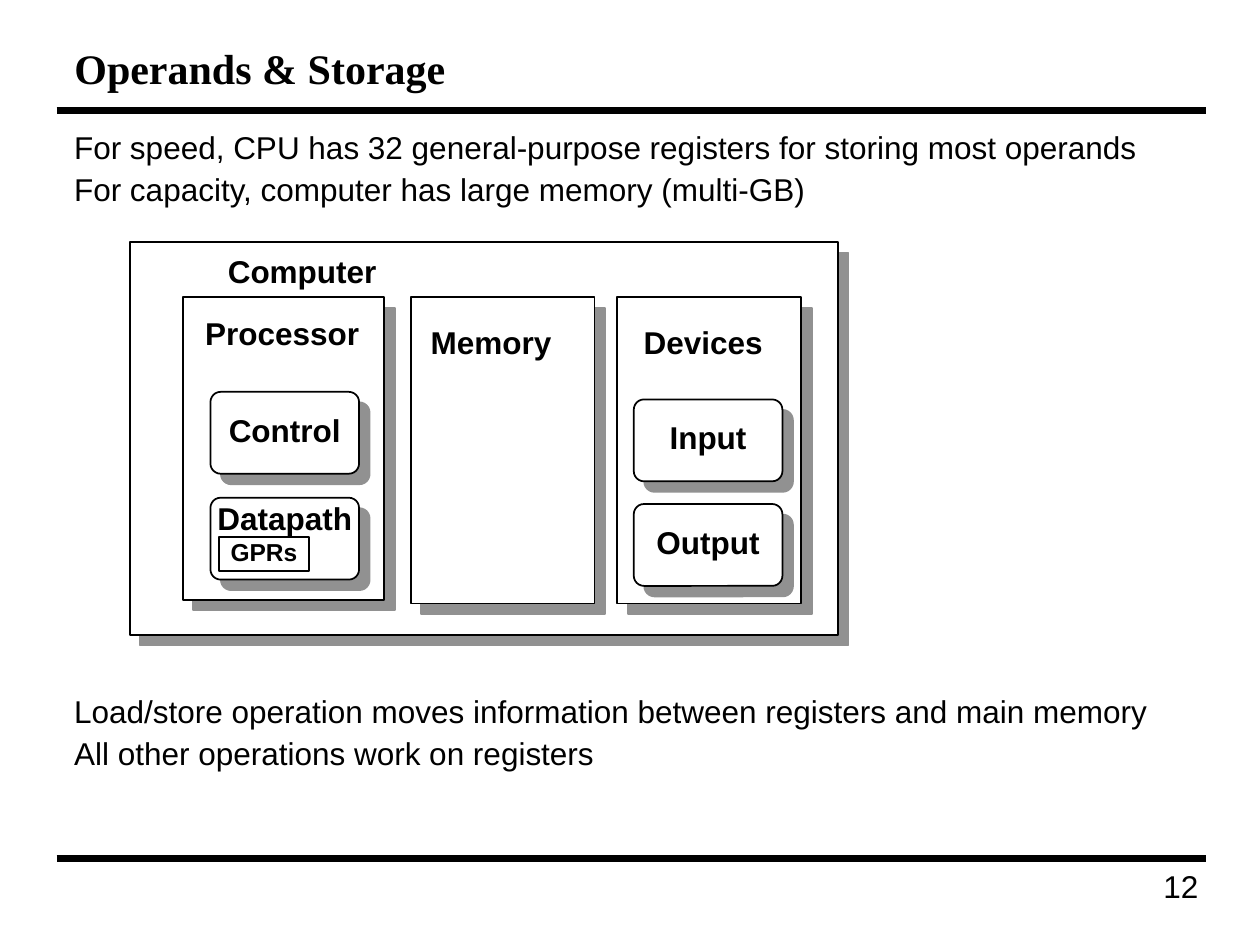
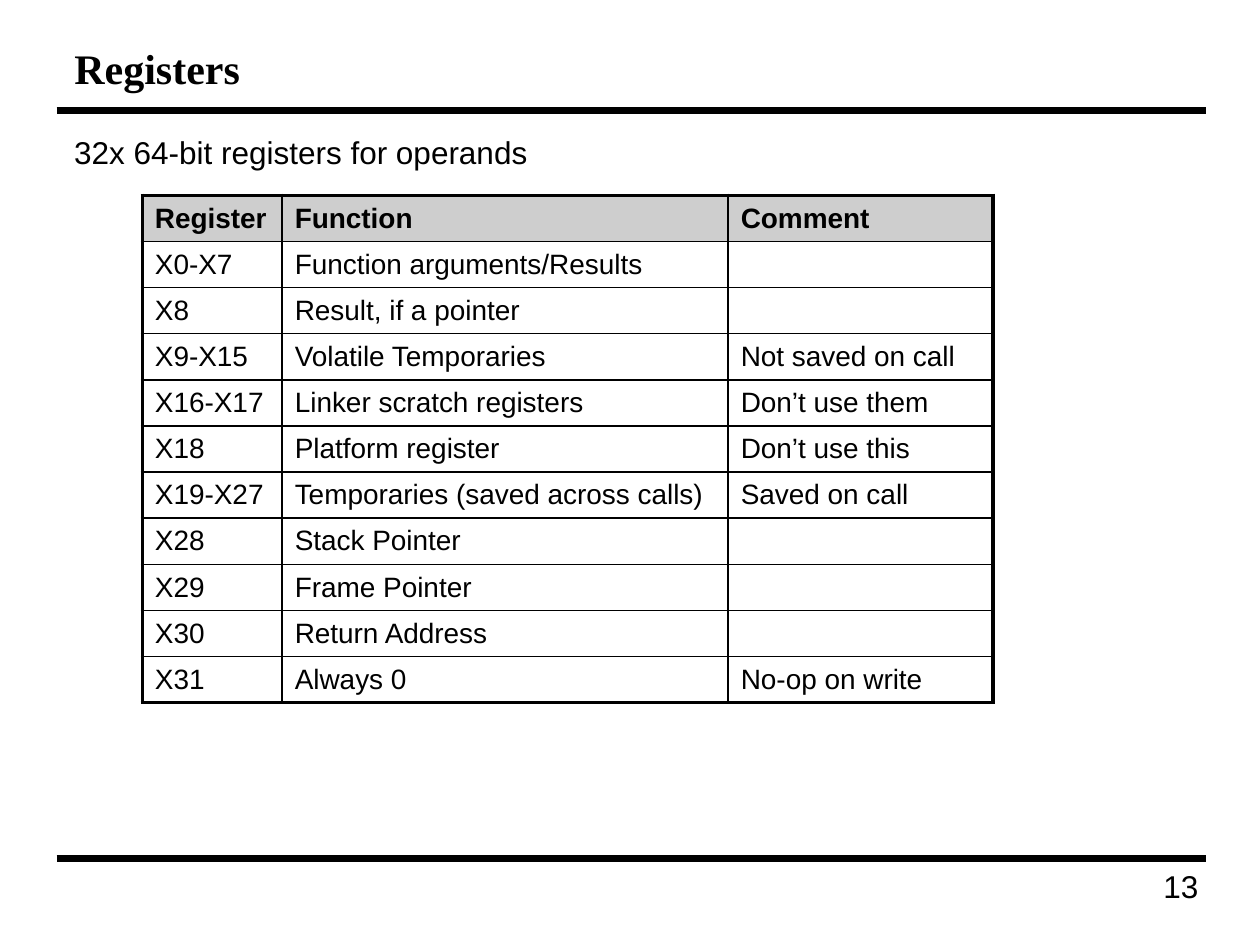
import lxml.etree
import pptx
import pptx.dml.color
import pptx.enum.shapes
import pptx.enum.text
import pptx.oxml
import pptx.oxml.ns
import pptx.util

Inches = pptx.util.Inches
Pt = pptx.util.Pt
Align = pptx.enum.text.PP_ALIGN
Anchor = pptx.enum.text.MSO_ANCHOR
Shape = pptx.enum.shapes.MSO_SHAPE
qn = pptx.oxml.ns.qn

COLORS = {
    name: pptx.dml.color.RGBColor.from_string(value)
    for name, value in {
        "ink": "000000",
        "paper": "FFFFFF",
        "header": "CECECE",
        "shadow": "919191",
    }.items()
}
BODY_FONT = "Arial"
TITLE_FONT = "Times New Roman"


def set_text(frame, lines, size, bold=False, align=Align.LEFT, spacing=1.0,
             gap=0, font=BODY_FONT):
    """Fill a text frame with one paragraph per line, gap points apart."""
    frame.text = "\n".join(lines)
    for index, paragraph in enumerate(frame.paragraphs):
        paragraph.alignment = align
        paragraph.line_spacing = spacing
        paragraph.space_before = Pt(gap if index else 0)
        paragraph.font.name = font
        paragraph.font.size = Pt(size)
        paragraph.font.bold = bold
        paragraph.font.color.rgb = COLORS["ink"]


def add_text(slide, left, top, width, height, lines, size, **style):
    frame = slide.shapes.add_textbox(
        Inches(left), Inches(top), Inches(width), Inches(height)).text_frame
    frame.word_wrap = True
    set_text(frame, lines, size, **style)


deck = pptx.Presentation()
deck.slide_width = Inches(10)
deck.slide_height = Inches(7.5)

# Title, rules and page number on every slide
slides = []
for page, heading in [(12, "Operands & Storage"), (13, "Registers")]:
    slide = deck.slides.add_slide(deck.slide_layouts[5])
    slides.append(slide)
    for y in (0.88, 6.81):
        rule = slide.shapes.add_connector(
            pptx.enum.shapes.MSO_CONNECTOR.STRAIGHT,
            Inches(0.45), Inches(y), Inches(9.57), Inches(y))
        rule.line.color.rgb = COLORS["ink"]
        rule.line.width = Pt(4)
        lxml.etree.SubElement(rule._element.spPr, qn("a:effectLst"))
    title = slide.shapes.title
    title.left, title.top = Inches(0.49), Inches(0.25)
    title.width, title.height = Inches(9.04), Inches(0.58)
    title.text_frame.vertical_anchor = Anchor.MIDDLE
    set_text(title.text_frame, [heading], 24, bold=True, font=TITLE_FONT)
    add_text(slide, 7.56, 6.83, 2.05, 0.49, [str(page)], 18, align=Align.RIGHT)

storage, registers = slides

# Operands & Storage
statements = [
    (1.0, ["For speed, CPU has 32 general-purpose registers for storing most operands",
           "For capacity, computer has large memory (multi-GB)"]),
    (5.48, ["Load/store operation moves information between registers and main memory",
            "All other operations work on registers"]),
]
for top, lines in statements:
    add_text(storage, 0.49, top, 9.04, 0.75, lines, 18, spacing=0.9, gap=4.5)

RECT, ROUNDED = Shape.RECTANGLE, Shape.ROUNDED_RECTANGLE
components = [
    # outline, left, top, width, height, text, size, anchor
    (RECT, 1.03, 1.92, 5.62, 3.12, "", 18, Anchor.MIDDLE),
    (RECT, 1.45, 2.36, 1.6, 2.4, "", 18, Anchor.MIDDLE),
    (RECT, 3.26, 2.36, 1.46, 2.43, "", 18, Anchor.MIDDLE),
    (RECT, 4.9, 2.36, 1.46, 2.43, "", 18, Anchor.MIDDLE),
    (ROUNDED, 1.67, 3.11, 1.18, 0.65, "Control", 18, Anchor.MIDDLE),
    (ROUNDED, 1.67, 3.95, 1.18, 0.65, "Datapath", 18, Anchor.TOP),
    (ROUNDED, 5.03, 3.17, 1.18, 0.65, "Input", 18, Anchor.MIDDLE),
    (ROUNDED, 5.03, 4.0, 1.18, 0.65, "Output", 18, Anchor.MIDDLE),
    (RECT, 1.74, 4.26, 0.71, 0.27, "GPRs", 14, Anchor.MIDDLE),
]
for outline, left, top, width, height, text, size, anchor in components:
    component = storage.shapes.add_shape(
        outline, Inches(left), Inches(top), Inches(width), Inches(height))
    component.line.color.rgb = COLORS["ink"]
    component.line.width = Pt(1)
    component.shadow.inherit = False
    if outline == ROUNDED:
        component.adjustments[0] = 0.125
    if text == "GPRs":
        component.fill.background()
    else:
        component.fill.solid()
        component.fill.fore_color.rgb = COLORS["paper"]
        effects = component._element.spPr.find(qn("a:effectLst"))
        shadow = lxml.etree.SubElement(
            effects, qn("a:outerShdw"), dist=str(Pt(8.5)), dir=str(45 * 60000),
            algn="ctr", rotWithShape="0")
        lxml.etree.SubElement(shadow, qn("a:srgbClr"), val=str(COLORS["shadow"]))
    if text:
        frame = component.text_frame
        frame.word_wrap = False
        frame.vertical_anchor = anchor
        frame.margin_left = frame.margin_right = Inches(0.03)
        frame.margin_top = frame.margin_bottom = Inches(0.03)
        set_text(frame, [text], size, bold=True, align=Align.CENTER, spacing=0.85)

for left, top, name in [(1.71, 2.0, "Computer"), (1.53, 2.49, "Processor"),
                        (3.32, 2.56, "Memory"), (5.01, 2.56, "Devices")]:
    add_text(storage, left, top, 1.5, 0.31, [name], 18, bold=True, spacing=0.85)

# Registers
add_text(registers, 0.49, 1.01, 9.04, 0.4, ["32x 64-bit registers for operands"], 18)

register_rows = [
    ("Register", "Function", "Comment"),
    ("X0-X7", "Function arguments/Results", ""),
    ("X8", "Result, if a pointer", ""),
    ("X9-X15", "Volatile Temporaries", "Not saved on call"),
    ("X16-X17", "Linker scratch registers", "Don’t use them"),
    ("X18", "Platform register", "Don’t use this"),
    ("X19-X27", "Temporaries (saved across calls)", "Saved on call"),
    ("X28", "Stack Pointer", ""),
    ("X29", "Frame Pointer", ""),
    ("X30", "Return Address", ""),
    ("X31", "Always 0", "No-op on write"),
]
column_widths = (1.11, 3.54, 2.1)
last_row, last_column = len(register_rows) - 1, len(column_widths) - 1
table = registers.shapes.add_table(
    len(register_rows), len(column_widths), Inches(1.13), Inches(1.55),
    Inches(sum(column_widths)), Inches(4.03)).table
table.first_row = table.horz_banding = False
for column, width in zip(table.columns, column_widths):
    column.width = Inches(width)

for r, row in enumerate(register_rows):
    for c, text in enumerate(row):
        cell = table.cell(r, c)
        cell.margin_top = cell.margin_bottom = 0
        cell.vertical_anchor = Anchor.MIDDLE
        set_text(cell.text_frame, [text], 16, bold=r == 0)
        borders = [("a:lnL", c == 0), ("a:lnR", c == last_column),
                   ("a:lnT", r == 0), ("a:lnB", r == last_row)]
        for tag, is_outer in borders:
            border = lxml.etree.SubElement(
                cell._tc.get_or_add_tcPr(), qn(tag), w=str(Pt(2.25 if is_outer else 1)))
            paint = lxml.etree.SubElement(border, qn("a:solidFill"))
            lxml.etree.SubElement(paint, qn("a:srgbClr"), val=str(COLORS["ink"]))
        cell.fill.solid()
        cell.fill.fore_color.rgb = COLORS["paper" if r else "header"]

deck.save("out.pptx")
